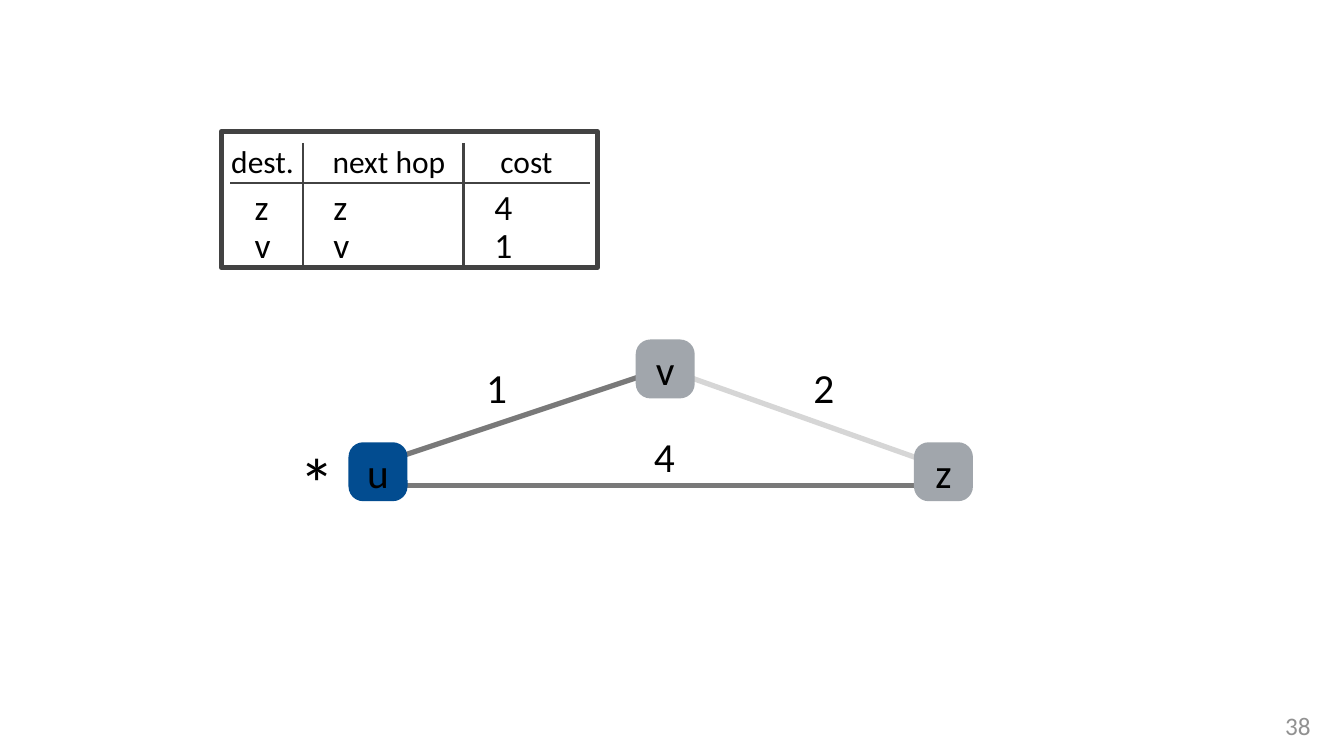
"""Build a slide with a routing table above a three-node network graph."""
from lxml.etree import SubElement
from pptx import Presentation
from pptx.dml.color import RGBColor
from pptx.enum.shapes import MSO_CONNECTOR, MSO_SHAPE
from pptx.enum.text import MSO_ANCHOR as ANCHOR, PP_ALIGN as ALIGN
from pptx.oxml import parse_xml
from pptx.oxml.ns import nsdecls, qn
from pptx.util import Inches, Pt


def rgb(color):
    return RGBColor.from_string(color)


def write(tf, text, size, color="000000", align=ALIGN.LEFT, margin=0.05):
    tf.text = text
    tf.margin_left = tf.margin_right = tf.margin_top = tf.margin_bottom = Inches(margin)
    tf.vertical_anchor = ANCHOR.MIDDLE
    tf.word_wrap = True
    p = tf.paragraphs[0]
    p.alignment = align
    f = p.runs[0].font
    f.name, f.size, f.color.rgb = "Calibri", Pt(size), rgb(color)


prs = Presentation()
prs.slide_width, prs.slide_height = Inches(17.78), Inches(10)
s = prs.slides.add_slide(prs.slide_layouts[6])
X, Y = prs.slide_width / 100, prs.slide_height / 100

edges = [
    (48.14, 49.5, 29.25, 60.7, "797979"),
    (29.81, 64.2, 69.69, 64.2, "797979"),
    (50.67, 49.5, 69.69, 61.5, "D6D6D6"),
]
for x1, y1, x2, y2, color in edges:
    edge = s.shapes.add_connector(
        MSO_CONNECTOR.STRAIGHT, int(x1 * X), int(y1 * Y), int(x2 * X), int(y2 * Y))
    edge.line.color.rgb, edge.line.width = rgb(color), Pt(5)
    SubElement(edge._element.spPr, qn("a:effectLst"))

nodes = [("u", 25.93, 58.5, "024C90"), ("z", 68, 58.5, "A1A6AC"), ("v", 47.3, 44.9, "A1A6AC")]
for name, x, y, color in nodes:
    sp = s.shapes.add_shape(
        MSO_SHAPE.ROUNDED_RECTANGLE, int(x * X), int(y * Y), int(4.39 * X), int(7.8 * Y))
    sp.adjustments[0] = 0.25
    sp.shadow.inherit = False
    sp.fill.solid()
    sp.fill.fore_color.rgb = rgb(color)
    sp.line.fill.background()
    write(sp.text_frame, name, 39.4, align=ALIGN.CENTER, margin=0)

labels = [
    ("4", 48.37, 56.4, 2.19, 7.7, 39.4),
    ("1", 35.88, 47.3, 2.19, 7.7, 39.4),
    ("2", 60.24, 47.3, 2.19, 7.7, 39.4),
    ("*", 21.99, 57.5, 2.87, 12.4, 67.5),
]
for text, x, y, w, h, size in labels:
    tb = s.shapes.add_textbox(int(x * X), int(y * Y), int(w * X), int(h * Y))
    write(tb.text_frame, text, size)

number = s.shapes.add_textbox(int(95.28 * X), int(93.9 * Y), int(2.59 * X), int(5 * Y))
write(number.text_frame, "38", 24, "919191", ALIGN.CENTER, 0)
number.text_frame.vertical_anchor = ANCHOR.TOP
number.text_frame.word_wrap = False

frame = s.shapes.add_shape(
    MSO_SHAPE.RECTANGLE, int(16.48 * X), int(17.4 * Y), int(27.95 * X), int(18 * Y))
frame.shadow.inherit = False
frame.fill.background()
frame.line.color.rgb, frame.line.width = rgb("424242"), Pt(5)

routes = [("dest.", "next hop", "cost"), ("z", "z", "4"), ("v", "v", "1")]
widths, heights = (5.4, 11.93, 9.45), (5.3, 5.9, 5.1)
indents = [(0.01, 0.39, 0.49), (0.32, 0.4, 0.41), (0.32, 0.4, 0.41)]
table = s.shapes.add_table(
    3, 3, int(17.15 * X), int(18.9 * Y), int(sum(widths) * X), int(sum(heights) * Y)).table
table.first_row = table.horz_banding = False
for column, width in zip(table.columns, widths):
    column.width = int(width * X)
for i, (row, height) in enumerate(zip(table.rows, heights)):
    row.height = int(height * Y)
    for j, cell in enumerate(row.cells):
        write(cell.text_frame, routes[i][j], 33.8 if i else 30)
        cell.margin_left = Inches(indents[i][j])
        cell.margin_right = cell.margin_top = cell.margin_bottom = 0
        cell.vertical_anchor = ANCHOR.BOTTOM if i else ANCHOR.MIDDLE
        if i:
            cell.text_frame.paragraphs[0].line_spacing = 0.85
        cell.fill.background()
        sides = {"lnL": j > 0, "lnR": j < 2, "lnT": i == 1, "lnB": i == 0}
        for k, (side, shown) in enumerate(sides.items()):
            paint = '<a:solidFill><a:srgbClr val="424242"/></a:solidFill>' if shown else "<a:noFill/>"
            border = f'<a:{side} {nsdecls("a")} w="{Pt(3)}">{paint}</a:{side}>'
            cell._tc.get_or_add_tcPr().insert(k, parse_xml(border))

prs.save("out.pptx")
